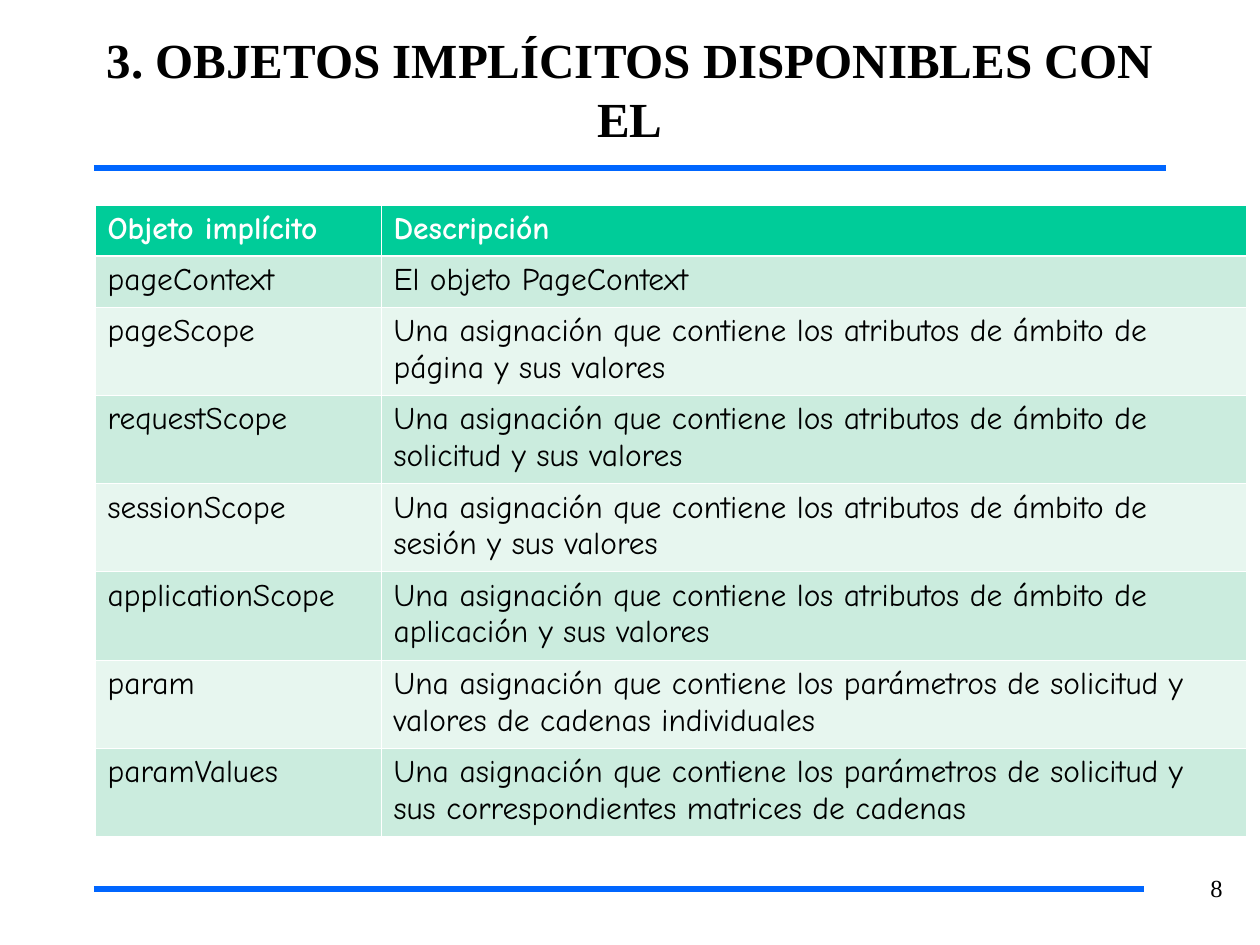
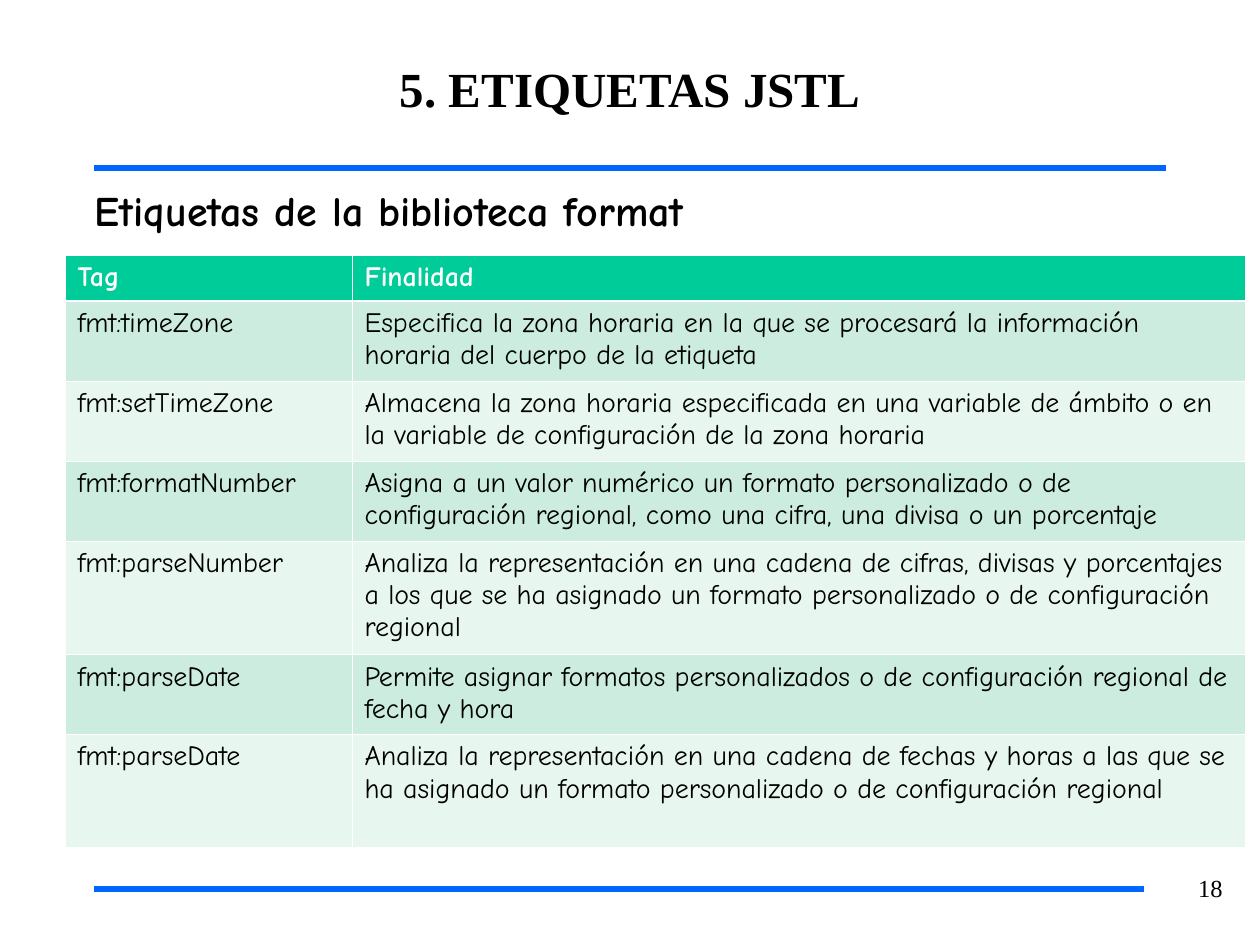
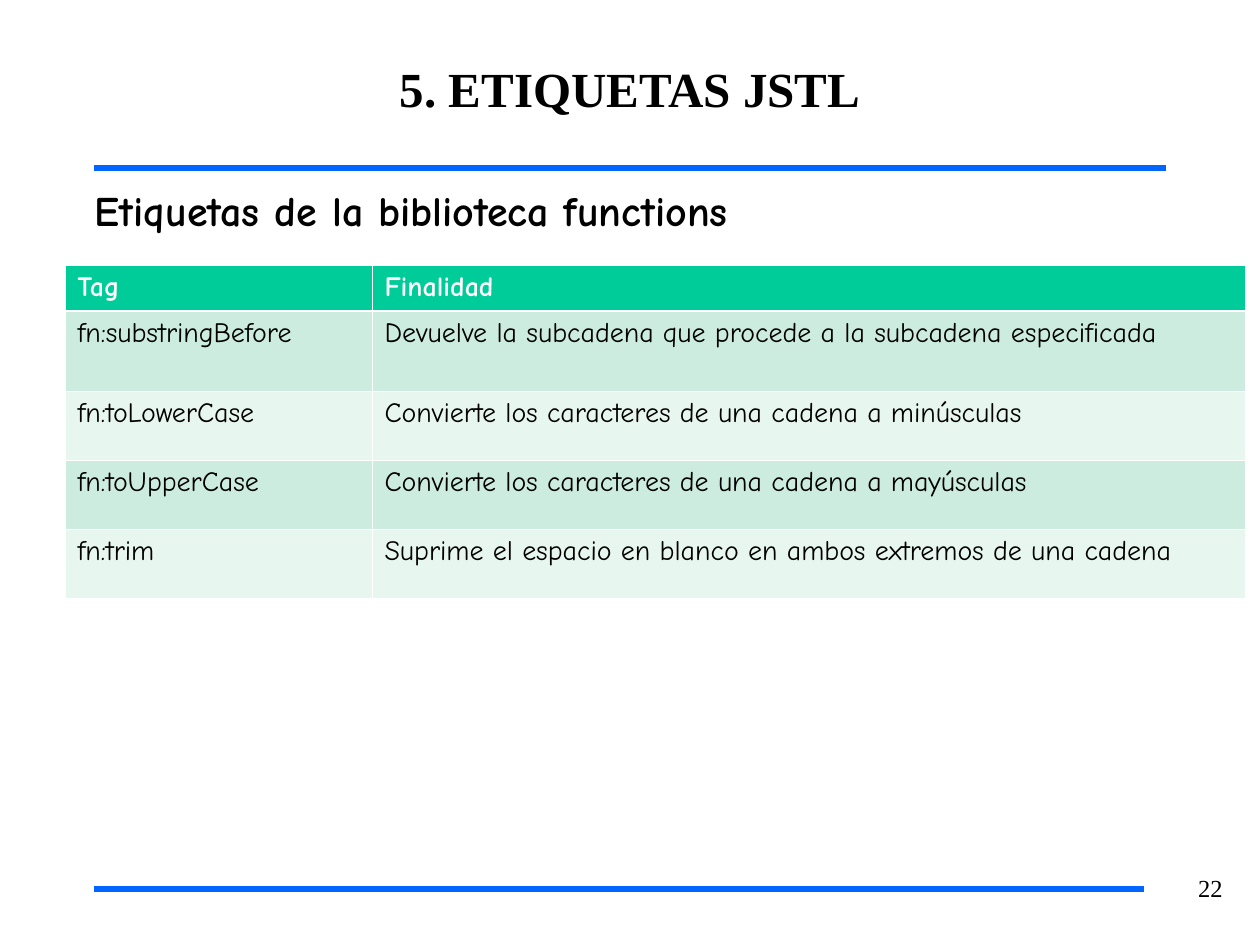
from dataclasses import dataclass

from lxml.etree import SubElement
from pptx import Presentation
from pptx.dml.color import RGBColor
from pptx.enum.shapes import MSO_CONNECTOR
from pptx.enum.text import MSO_ANCHOR, MSO_AUTO_SIZE, PP_ALIGN
from pptx.oxml.ns import qn
from pptx.util import Emu, Pt


@dataclass(frozen=True)
class Theme:
    """Colours, fonts and point sizes shared by all slides."""

    rule: str = "0066FF"
    header: str = "00CC99"
    bands: tuple = ("CBECDE", "E7F6EF")
    white: str = "FFFFFF"
    black: str = "000000"
    serif: str = "Times New Roman"
    casual: str = "Comic Neue"
    title_size: int = 28
    subtitle_size: int = 24
    number_size: int = 14
    rule_width: int = 3
    thin_border: float = 0.45
    thick_border: float = 1.47


THEME = Theme()
PIXELS_PER_INCH = 126
TITLE_LAYOUT, CONTENT_LAYOUT = 5, 1
TITLE_BOX = (95, 11, 1070, 154)
SUBTITLE_BOX = (95, 185, 1121, 69)
NUMBER_BOX = (1179, 869, 56, 40)
RULES = ((94, 168, 1166, 168), (94, 889, 1124, 889), (115, 889, 1144, 889))

SCOPE_ROWS = (
    ("Objeto implícito", "Descripción"),
    ("pageContext", "El objeto PageContext"),
    ("pageScope", "Una asignación que contiene los atributos de ámbito de página y sus valores"),
    ("requestScope", "Una asignación que contiene los atributos de ámbito de solicitud y sus valores"),
    ("sessionScope", "Una asignación que contiene los atributos de ámbito de sesión y sus valores"),
    ("applicationScope", "Una asignación que contiene los atributos de ámbito de aplicación y sus valores"),
    ("param", "Una asignación que contiene los parámetros de solicitud y valores de cadenas individuales"),
    ("paramValues", "Una asignación que contiene los parámetros de solicitud y sus correspondientes "
                    "matrices de cadenas"),
)
TAG_HEADER = ("Tag", "Finalidad")
FORMAT_ROWS = (
    TAG_HEADER,
    ("fmt:timeZone", "Especifica la zona horaria en la que se procesará la información horaria "
                     "del cuerpo de la etiqueta"),
    ("fmt:setTimeZone", "Almacena la zona horaria especificada en una variable de ámbito o en "
                        "la variable de configuración de la zona horaria"),
    ("fmt:formatNumber", "Asigna a un valor numérico un formato personalizado o de configuración "
                         "regional, como una cifra, una divisa o un porcentaje"),
    ("fmt:parseNumber", "Analiza la representación en una cadena de cifras, divisas y porcentajes a los "
                        "que se ha asignado un formato personalizado o de configuración regional"),
    ("fmt:parseDate", "Permite asignar formatos personalizados o de configuración regional de fecha y hora"),
    ("fmt:parseDate", "Analiza la representación en una cadena de fechas y horas a las que se ha "
                      "asignado un formato personalizado o de configuración regional"),
)
FUNCTION_ROWS = (
    TAG_HEADER,
    ("fn:substringBefore", "Devuelve la subcadena que procede a la subcadena especificada"),
    ("fn:toLowerCase", "Convierte los caracteres de una cadena a minúsculas"),
    ("fn:toUpperCase", "Convierte los caracteres de una cadena a mayúsculas"),
    ("fn:trim", "Suprime el espacio en blanco en ambos extremos de una cadena"),
)


def px(length):
    """Turn pixels into EMU."""
    return Emu(round(length * 914400 / PIXELS_PER_INCH))


def place(shape, box):
    """Move and size a shape to a pixel box."""
    shape.left, shape.top, shape.width, shape.height = map(px, box)


def write(text_frame, text, font_name, size, color=THEME.black, bold=False):
    """Set one paragraph of formatted text and return the paragraph."""
    text_frame.text = text
    paragraph = text_frame.paragraphs[0]
    font = paragraph.runs[0].font
    font.name, font.size, font.bold = font_name, Pt(size), bold
    font.color.rgb = RGBColor.from_string(color)
    return paragraph


def fill_placeholder(shape, box, text, font_name, size, anchor):
    """Place a placeholder without insets and return its bold paragraph."""
    place(shape, box)
    frame = shape.text_frame
    frame.margin_left = frame.margin_top = frame.margin_right = frame.margin_bottom = 0
    frame.word_wrap = True
    frame.auto_size = MSO_AUTO_SIZE.NONE
    frame.vertical_anchor = anchor
    return write(frame, text, font_name, size, bold=True)


def add_rule(slide, start_x, start_y, end_x, end_y):
    """Draw a blue rule without a shadow."""
    rule = slide.shapes.add_connector(
        MSO_CONNECTOR.STRAIGHT, px(start_x), px(start_y), px(end_x), px(end_y))
    rule.line.color.rgb = RGBColor.from_string(THEME.rule)
    rule.line.width = Pt(THEME.rule_width)
    SubElement(rule._element.spPr, qn("a:effectLst"))


def add_page_number(slide, box, number):
    """Write the page number at the right of its box."""
    frame = slide.shapes.add_textbox(*map(px, box)).text_frame
    frame.word_wrap = True
    paragraph = write(frame, str(number), THEME.serif, THEME.number_size)
    paragraph.alignment = PP_ALIGN.RIGHT
    paragraph.line_spacing = 0.93


def add_subtitle(slide, box, text):
    """Use the body placeholder for an unbulleted section heading."""
    paragraph = fill_placeholder(
        slide.placeholders[1], box, text, THEME.casual, THEME.subtitle_size, MSO_ANCHOR.TOP)
    paragraph.space_before = Pt(6)
    properties = paragraph._p.get_or_add_pPr()
    properties.set("marL", "0")
    properties.set("indent", "0")
    SubElement(properties, qn("a:buNone"))


def set_borders(cell, row_index):
    """Give a cell white borders, thicker between header and body."""
    properties = cell._tc.get_or_add_tcPr()
    thick_side = {0: "lnB", 1: "lnT"}.get(row_index)
    for side in ("lnL", "lnR", "lnT", "lnB"):
        width = THEME.thick_border if side == thick_side else THEME.thin_border
        line = SubElement(properties, qn(f"a:{side}"), w=str(Pt(width)))
        fill = SubElement(line, qn("a:solidFill"))
        SubElement(fill, qn("a:srgbClr"), val=THEME.white)


def add_banded_table(slide, origin, column_widths, row_heights, rows, size):
    """Draw a two-column table with a green header and banded rows."""
    box = (*origin, sum(column_widths), sum(row_heights))
    table = slide.shapes.add_table(len(rows), len(column_widths), *map(px, box)).table
    table.first_row = table.horz_banding = False
    for column, width in zip(table.columns, column_widths):
        column.width = px(width)
    for row_index, (row, height, texts) in enumerate(zip(table.rows, row_heights, rows)):
        row.height = px(height)
        is_header = row_index == 0
        background = THEME.header if is_header else THEME.bands[(row_index - 1) % 2]
        color = THEME.white if is_header else THEME.black
        for cell, text in zip(row.cells, texts):
            set_borders(cell, row_index)
            cell.fill.solid()
            cell.fill.fore_color.rgb = RGBColor.from_string(background)
            write(cell.text_frame, text, THEME.casual, size, color, is_header)


def add_table_slide(presentation, title, number, table, subtitle=None):
    """Build a slide with title, rules, page number, table and optional heading."""
    layout = CONTENT_LAYOUT if subtitle else TITLE_LAYOUT
    slide = presentation.slides.add_slide(presentation.slide_layouts[layout])
    for rule in RULES:
        add_rule(slide, *rule)
    add_page_number(slide, NUMBER_BOX, number)
    heading = fill_placeholder(
        slide.shapes.title, TITLE_BOX, title, THEME.serif, THEME.title_size, MSO_ANCHOR.MIDDLE)
    heading.alignment = PP_ALIGN.CENTER
    if subtitle:
        add_subtitle(slide, SUBTITLE_BOX, subtitle)
    add_banded_table(slide, **table)


def main():
    """Build and save the three slides."""
    presentation = Presentation()
    presentation.slide_width, presentation.slide_height = px(1260), px(945)
    add_table_slide(
        presentation, "3. OBJETOS IMPLÍCITOS DISPONIBLES CON EL", 8,
        dict(origin=(95, 205), column_widths=(286, 865),
             row_heights=(51, 51, *[88] * 6), rows=SCOPE_ROWS, size=18))
    add_table_slide(
        presentation, "5. ETIQUETAS JSTL", 18,
        dict(origin=(65, 255), column_widths=(287, 893),
             row_heights=(45, 80, 80, 80, 113, 80, 113), rows=FORMAT_ROWS, size=16),
        "Etiquetas de la biblioteca format")
    add_table_slide(
        presentation, "5. ETIQUETAS JSTL", 22,
        dict(origin=(65, 265), column_widths=(307, 873),
             row_heights=(45, 80, *[69] * 3), rows=FUNCTION_ROWS, size=16),
        "Etiquetas de la biblioteca functions")
    presentation.save("out.pptx")


if __name__ == "__main__":
    main()
